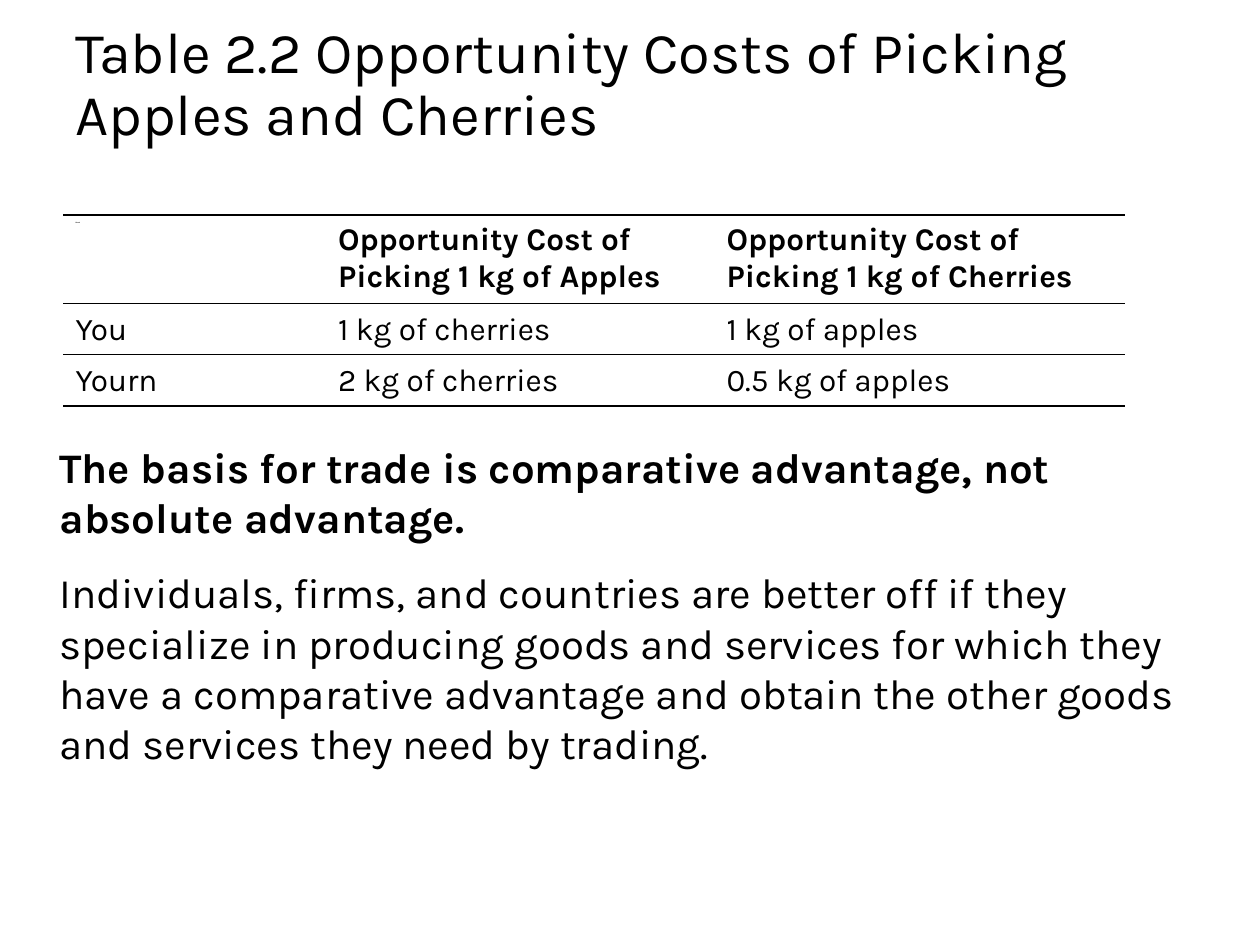
from lxml.etree import SubElement
from pptx import Presentation
from pptx.dml.color import RGBColor
from pptx.enum.text import MSO_ANCHOR as Anchor
from pptx.oxml import parse_xml
from pptx.oxml.ns import nsdecls, qn
from pptx.util import Pt

FONT = "Karla"
BLACK = "000000"
COSTS = [
    ["Blank", "Opportunity Cost of Picking 1 kg of Apples",
     "Opportunity Cost of Picking 1 kg of Cherries"],
    ["You", "1 kg of cherries", "1 kg of apples"],
    ["Yourn", "2 kg of cherries", "0.5 kg of apples"],
]
TAKEAWAYS = [
    ("The basis for trade is comparative advantage, not absolute advantage.", True),
    ("Individuals, firms, and countries are better off if they specialize in "
     "producing goods and services for which they have a comparative advantage "
     "and obtain the other goods and services they need by trading.", False),
]


def color(hex_text):
    return RGBColor.from_string(hex_text)


def style(p, size, bold=False):
    p.font.name = FONT
    p.font.size = Pt(size)
    p.font.bold = bold
    p.font.color.rgb = color(BLACK)


def add_text_frame(slide, box):
    tf = slide.shapes.add_textbox(*map(Pt, box)).text_frame
    tf.word_wrap = True
    return tf


def set_borders(cell, width):
    """Rule the cell above and below and leave its sides open."""
    tcPr = cell._tc.get_or_add_tcPr()
    for i, side in enumerate(("lnL", "lnR", "lnT", "lnB")):
        ln = parse_xml(f'<a:{side} {nsdecls("a")} w="{Pt(width)}"/>')
        if side in ("lnT", "lnB"):
            fill = SubElement(ln, qn("a:solidFill"))
            SubElement(fill, qn("a:srgbClr"), val=BLACK)
        else:
            SubElement(ln, qn("a:noFill"))
        tcPr.insert(i, ln)


def add_title(slide, box):
    tf = add_text_frame(slide, box)
    tf.vertical_anchor = Anchor.MIDDLE
    p = tf.paragraphs[0]
    p.text = "Table 2.2 Opportunity Costs of Picking Apples and Cherries"
    p.line_spacing = 0.9
    style(p, 33)


def add_cost_table(slide, box, col_widths, row_heights):
    table = slide.shapes.add_table(len(COSTS), len(COSTS[0]), *map(Pt, box)).table
    table.first_row = table.horz_banding = False
    for col, width in zip(table.columns, col_widths):
        col.width = Pt(width)
    for row, height in zip(table.rows, row_heights):
        row.height = Pt(height)
    for r, texts in enumerate(COSTS):
        for c, text in enumerate(texts):
            cell = table.cell(r, c)
            cell.fill.background()
            set_borders(cell, 1)
            cell.vertical_anchor = Anchor.BOTTOM if r else Anchor.TOP
            p = cell.text_frame.paragraphs[0]
            p.text = text
            # The corner label is kept as a barely visible mark
            style(p, 1 if r == c == 0 else 18, bold=r == 0)


def add_takeaways(slide, box):
    tf = add_text_frame(slide, box)
    tf.margin_left = tf.margin_right = tf.margin_top = tf.margin_bottom = 0
    for i, (text, bold) in enumerate(TAKEAWAYS):
        p = tf.add_paragraph() if i else tf.paragraphs[0]
        p.text = text
        if i:
            p.space_before = Pt(14.2)
        style(p, 24, bold)


def main():
    prs = Presentation()
    prs.slide_width, prs.slide_height = Pt(720), Pt(540)
    slide = prs.slides.add_slide(prs.slide_layouts[6])

    # Title, table, then the conclusion drawn from it
    add_title(slide, (36, 6, 648, 86))
    add_cost_table(slide, (36, 123, 607, 108), (150, 222, 235), (49.5, 29.25, 29.25))
    add_takeaways(slide, (34, 252, 648, 207))

    prs.save("out.pptx")


if __name__ == "__main__":
    main()
